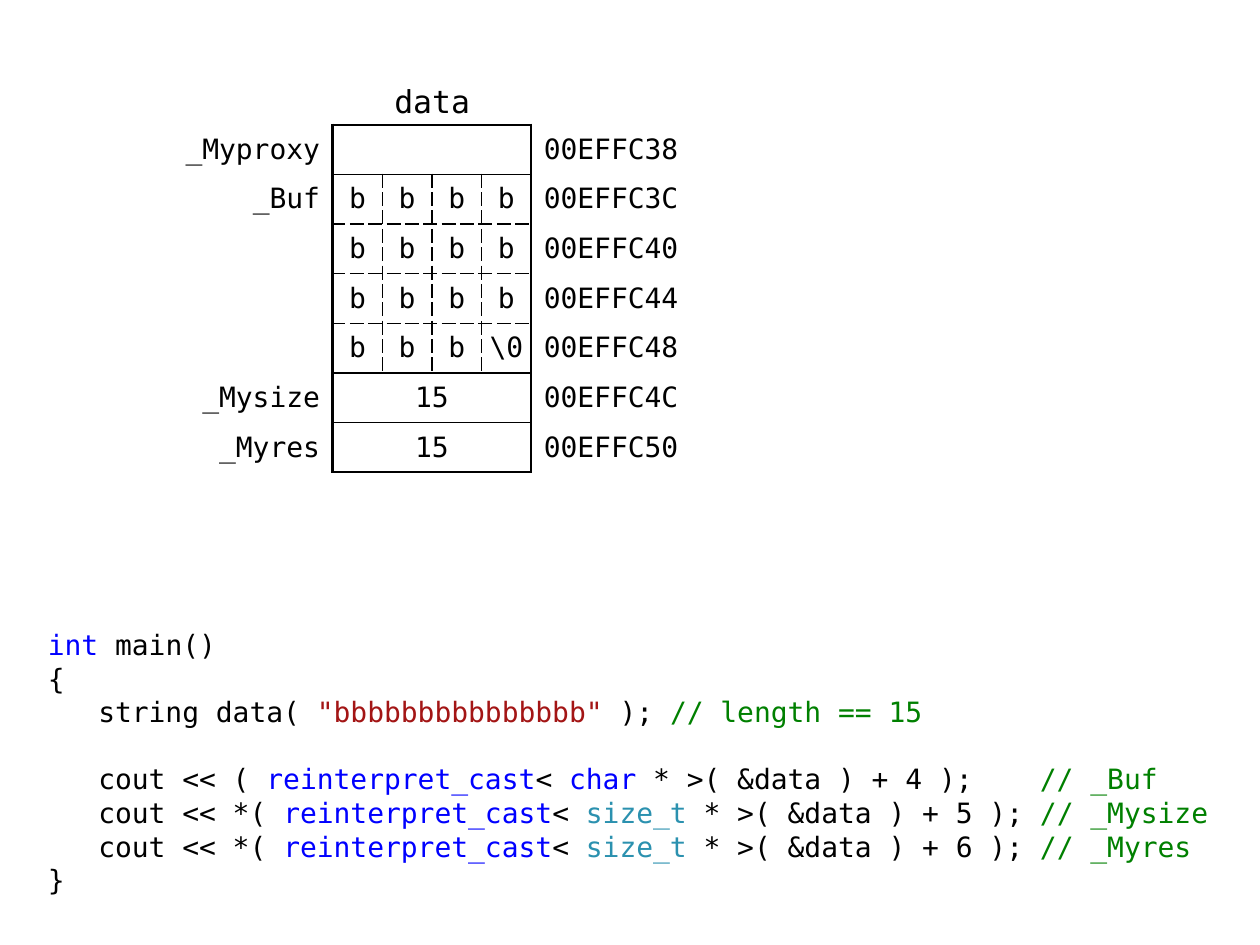
"""Build a slide showing the memory layout of a string beside the code that reads it."""
from lxml.etree import SubElement
from pptx import Presentation
from pptx.dml.color import RGBColor
from pptx.enum.text import MSO_ANCHOR as Anchor, PP_ALIGN as Align
from pptx.oxml.ns import qn
from pptx.util import Inches, Pt

FONT = "DejaVu Sans Mono"
BLACK, KEYWORD, STRING, TYPE, COMMENT = "000000", "0000FF", "A31515", "2B91AF", "008000"
NO_STYLE = "{2D5ABB26-0587-4C30-8999-92F81FD0307C}"

MEMORY = [
    ("_Myproxy", [""], "00EFFC38"),
    ("_Buf", ["b", "b", "b", "b"], "00EFFC3C"),
    ("", ["b", "b", "b", "b"], "00EFFC40"),
    ("", ["b", "b", "b", "b"], "00EFFC44"),
    ("", ["b", "b", "b", "\\0"], "00EFFC48"),
    ("_Mysize", ["15"], "00EFFC4C"),
    ("_Myres", ["15"], "00EFFC50"),
]
TABLE_HEIGHT, SIDE_WIDTH, BYTE_COUNT = 2.76, 1.38, 4
BYTE_SIZE = TABLE_HEIGHT / len(MEMORY)
LAST_COLUMN = BYTE_COUNT + 1


def cast_line(start, kind, color, end, comment):
    return 1, [(f"cout << {start} ", BLACK), ("reinterpret_cast", KEYWORD), ("< ", BLACK),
               (f"{kind} ", color), (f"* >( &data ) + {end} );", BLACK), (comment, COMMENT)]


CODE = [
    (0, [("int", KEYWORD), (" main()", BLACK)]),
    (0, [("{", BLACK)]),
    (1, [("string data( ", BLACK), ('"bbbbbbbbbbbbbbb" ', STRING), ("); ", BLACK),
         ("// length == 15", COMMENT)]),
    cast_line("(", "char", KEYWORD, 4, "    // _Buf"),
    cast_line("*(", "size_t", TYPE, 5, " // _Mysize"),
    cast_line("*(", "size_t", TYPE, 6, " // _Myres"),
    (0, [("}", BLACK)]),
]
GAP_BEFORE, GAP_SIZE, CODE_INDENT = 3, 19.3, 0.4


def set_font(font, size, color=BLACK):
    font.name, font.size = FONT, Pt(size)
    font.color.rgb = RGBColor.from_string(color)


def set_border(cell, side, border):
    width, dash = border or (0, "solid")
    line = SubElement(cell._tc.get_or_add_tcPr(), qn(f"a:ln{side}"), w=str(Pt(width)))
    if not border:
        SubElement(line, qn("a:noFill"))
        return
    SubElement(SubElement(line, qn("a:solidFill")), qn("a:srgbClr"), val=BLACK)
    SubElement(line, qn("a:prstDash"), val=dash)


def vertical_border(row, edge):
    if edge in (0, LAST_COLUMN + 1):
        return None
    if edge in (1, LAST_COLUMN) or len(MEMORY[row][1]) == 1:
        return 1.5, "solid"
    return 1, "sysDash"


def horizontal_border(edge, column):
    if column in (0, LAST_COLUMN):
        return None
    if edge in (0, len(MEMORY)):
        return 1.5, "solid"
    inside_buffer = all(len(row[1]) > 1 for row in MEMORY[edge - 1:edge + 1])
    return 1, "sysDash" if inside_buffer else "solid"


def format_cell(cell, row, column, text):
    set_border(cell, "L", vertical_border(row, column))
    set_border(cell, "R", vertical_border(row, column + 1))
    set_border(cell, "T", horizontal_border(row, column))
    set_border(cell, "B", horizontal_border(row + 1, column))
    cell.fill.background()
    is_side = column in (0, LAST_COLUMN)
    cell.margin_left = cell.margin_right = Inches(0.1 if is_side else 0)
    cell.margin_top = cell.margin_bottom = Inches(0.04)
    cell.vertical_anchor = Anchor.MIDDLE
    cell.text = text
    paragraph = cell.text_frame.paragraphs[0]
    paragraph.alignment = {0: Align.RIGHT, LAST_COLUMN: Align.LEFT}.get(column, Align.CENTER)
    set_font(paragraph.font, 16)


def add_memory_table(slide):
    widths = [SIDE_WIDTH] + [BYTE_SIZE] * BYTE_COUNT + [SIDE_WIDTH]
    frame = slide.shapes.add_table(
        len(MEMORY), len(widths), Inches(1.26), Inches(0.99),
        Inches(sum(widths)), Inches(TABLE_HEIGHT))
    table = frame.table
    table.first_row = table.horz_banding = False
    table._tbl.tblPr.find(qn("a:tableStyleId")).text = NO_STYLE
    for column, width in zip(table.columns, widths):
        column.width = Inches(width)
    for row, (label, values, address) in enumerate(MEMORY):
        table.rows[row].height = Inches(BYTE_SIZE)
        padding = [""] * (BYTE_COUNT - len(values))
        for column, text in enumerate([label, *values, *padding, address]):
            format_cell(table.cell(row, column), row, column, text)
        if padding:
            table.cell(row, 1).merge(table.cell(row, BYTE_COUNT))


def add_heading(slide):
    box = slide.shapes.add_textbox(Inches(2.64), Inches(0.6), Inches(1.58), Inches(0.39))
    box.text_frame.word_wrap = True
    paragraph = box.text_frame.paragraphs[0]
    paragraph.text, paragraph.alignment = "data", Align.CENTER
    set_font(paragraph.font, 18)


def fill_code(body):
    body.left, body.top, body.width, body.height = map(Inches, (0.28, 4.93, 9.45, 2.17))
    frame = body.text_frame
    for index, (level, parts) in enumerate(CODE):
        paragraph = frame.add_paragraph() if index else frame.paragraphs[0]
        paragraph.space_before = Pt(GAP_SIZE if index == GAP_BEFORE else 0)
        set_font(paragraph.font, 16)
        properties = paragraph._p.get_or_add_pPr()
        properties.set("marL", str(Inches(CODE_INDENT * level)))
        properties.set("indent", "0")
        bullet = SubElement(properties, qn("a:buNone"))
        properties.find(qn("a:defRPr")).addprevious(bullet)
        for text, color in parts:
            run = paragraph.add_run()
            run.text = text
            set_font(run.font, 16, color)


def main():
    presentation = Presentation()
    presentation.slide_width, presentation.slide_height = Inches(10), Inches(7.5)
    slide = presentation.slides.add_slide(presentation.slide_layouts[1])
    title = slide.shapes.title.element
    title.getparent().remove(title)
    fill_code(slide.placeholders[1])
    add_memory_table(slide)
    add_heading(slide)
    presentation.save("out.pptx")


if __name__ == "__main__":
    main()
